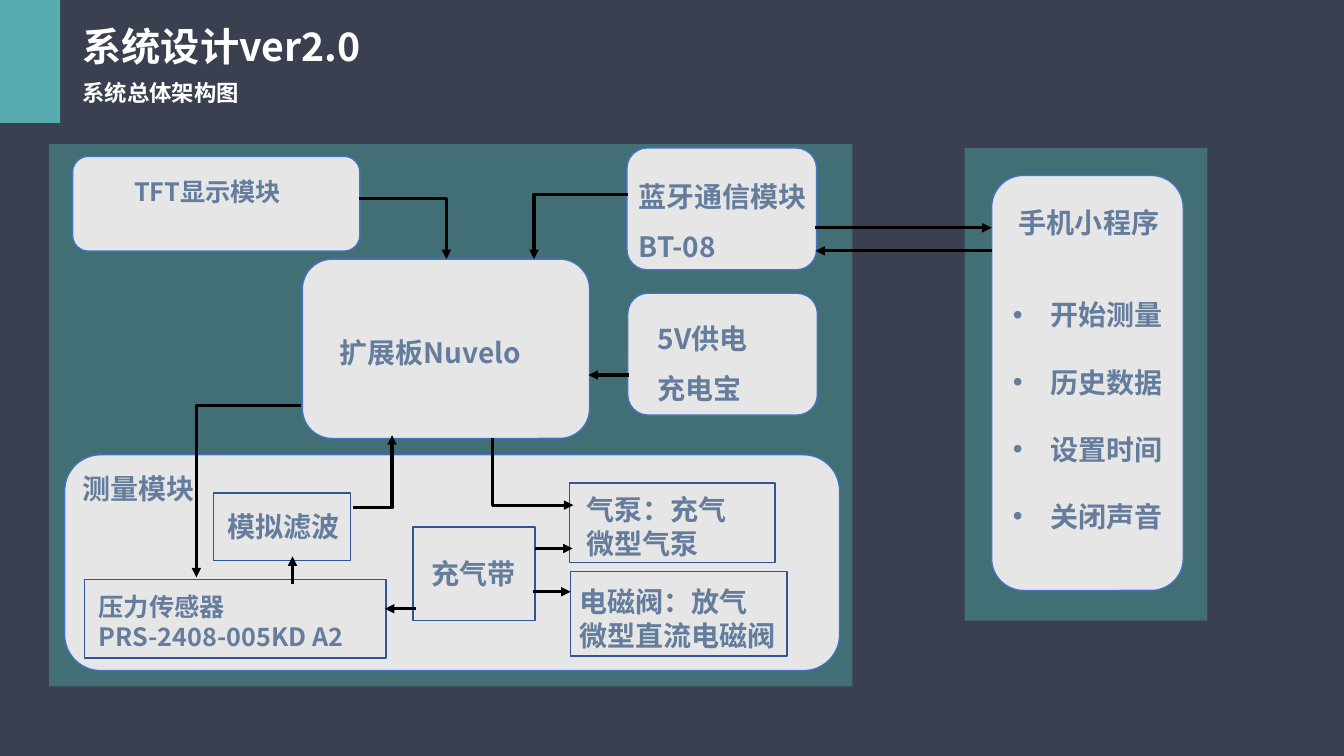
from dataclasses import dataclass

from lxml.etree import SubElement
from pptx import Presentation
from pptx.dml.color import RGBColor
from pptx.enum.shapes import MSO_CONNECTOR, MSO_SHAPE
from pptx.enum.text import MSO_ANCHOR, PP_ALIGN
from pptx.oxml.ns import qn
from pptx.util import Cm, Pt

FONT = "Noto Sans CJK SC"
ROUND_INSET = 0.0488
COLORS = {
    "background": "3A4050",
    "accent": "56ACAF",
    "panel": "4A9D9A",
    "box": "E7E6E6",
    "round_line": "4472C4",
    "rect_line": "2F5597",
    "label": "657D9D",
    "title": "FFFFFF",
    "arrow": "000000",
}


@dataclass
class Panel:
    x: float
    y: float
    w: float
    h: float
    color: str
    opacity: int = 100


@dataclass
class Module:
    text: str
    x: float
    y: float
    w: float
    h: float
    dx: float
    dy: float
    rounded: bool = False
    size: int = 20
    spacing: float = 1.0


@dataclass
class Arrow:
    x1: float
    y1: float
    x2: float
    y2: float
    end: str = "tailEnd"


PANELS = [
    Panel(0, 0, 1.52, 3.1, "accent"),
    Panel(24.31, 3.73, 6.12, 11.91, "panel", 50),
    Panel(1.24, 3.63, 20.24, 13.67, "panel", 50),
]
MODULES = [
    Module("手机小程序", 24.99, 4.42, 4.83, 10.46, 0.69, 0.76, True),
    Module("测量模块", 1.63, 11.46, 19.53, 5.44, 0.46, 0.41, True),
    Module("TFT显示模块", 1.83, 3.94, 7.24, 2.39, 1.55, 0.5, True, 18),
    Module("蓝牙通信模块\nBT-08", 15.8, 3.73, 4.78, 3.07, 0.3, 0.36, True, spacing=1.5),
    Module("扩展板Nuvelo", 7.62, 6.53, 7.24, 4.52, 0.94, 1.5, True, spacing=1.5),
    Module("5V供电\n充电宝", 15.82, 7.39, 4.78, 3.07, 0.76, 0.28, True, spacing=1.5),
    Module("模拟滤波", 5.38, 12.42, 3.45, 1.7, 0.36, 0.41),
    Module("压力传感器\nPRS-2408-005KD A2", 2.13, 14.6, 7.6, 1.98, 0.36, 0.3, size=18),
    Module("充气带", 10.41, 13.28, 3.07, 2.36, 0.46, 0.74),
    Module("气泵：充气\n微型气泵", 14.35, 12.17, 5.18, 2.01, 0.43, 0.25),
    Module("电磁阀：放气\n微型直流电磁阀", 14.38, 14.4, 5.46, 2.13, 0.23, 0.33),
]
ARROWS = [
    Arrow(9.04, 5, 11.25, 6.53),
    Arrow(15.82, 4.9, 13.46, 6.53),
    Arrow(14.45, 12.73, 12.42, 11.05, "headEnd"),
    Arrow(13.49, 13.82, 14.43, 13.82),
    Arrow(13.44, 14.91, 14.38, 14.91),
    Arrow(10.49, 15.34, 9.7, 15.34),
    Arrow(7.37, 14.71, 7.37, 14.02),
    Arrow(8.89, 12.8, 9.88, 10.97),
    Arrow(7.59, 10.21, 4.95, 14.55),
    Arrow(15.85, 9.45, 14.83, 9.45),
    Arrow(20.55, 5.74, 24.99, 5.74),
    Arrow(24.99, 6.32, 20.55, 6.32),
]


def rgb(name: str) -> RGBColor:
    """Look up a named colour."""
    return RGBColor.from_string(COLORS[name])


def format_text(tf, size: int, color: str, spacing: float = 1.0) -> None:
    """Apply the slide's bold left-aligned style to every run."""
    tf.word_wrap = True
    tf.vertical_anchor = MSO_ANCHOR.TOP
    for p in tf.paragraphs:
        p.alignment = PP_ALIGN.LEFT
        p.line_spacing = spacing
        p.space_before = Pt(0)
        for r in p.runs:
            r.font.name = FONT
            r.font.size = Pt(size)
            r.font.bold = True
            r.font.color.rgb = rgb(color)
            SubElement(r.font._element, qn("a:ea"), typeface=FONT)


def place(sp, x: float, y: float, w: float, h: float) -> None:
    """Move and size a shape in centimetres."""
    sp.left, sp.top, sp.width, sp.height = Cm(x), Cm(y), Cm(w), Cm(h)


def draw_panel(s, panel: Panel) -> None:
    """Draw a borderless colour block."""
    sp = s.shapes.add_shape(MSO_SHAPE.RECTANGLE, Cm(panel.x), Cm(panel.y), Cm(panel.w), Cm(panel.h))
    sp.shadow.inherit = False
    sp.fill.solid()
    sp.fill.fore_color.rgb = rgb(panel.color)
    sp.line.fill.background()
    if panel.opacity < 100:
        clr = sp.element.spPr.find(".//" + qn("a:srgbClr"))
        SubElement(clr, qn("a:alpha"), val=str(panel.opacity * 1000))


def draw_module(s, m: Module) -> None:
    """Draw a module box with its label inside."""
    kind = MSO_SHAPE.ROUNDED_RECTANGLE if m.rounded else MSO_SHAPE.RECTANGLE
    sp = s.shapes.add_shape(kind, Cm(m.x), Cm(m.y), Cm(m.w), Cm(m.h))
    sp.shadow.inherit = False
    sp.fill.solid()
    sp.fill.fore_color.rgb = rgb("box")
    sp.line.color.rgb = rgb("round_line" if m.rounded else "rect_line")
    sp.line.width = Pt(1)
    inset = ROUND_INSET * min(m.w, m.h) if m.rounded else 0
    tf = sp.text_frame
    tf.text = m.text
    tf.margin_left, tf.margin_top = Cm(m.dx - inset), Cm(m.dy - inset)
    tf.margin_right = tf.margin_bottom = 0
    format_text(tf, m.size, "label", m.spacing)


def draw_arrow(s, a: Arrow) -> None:
    """Draw a straight arrow, or one bent from horizontal to vertical."""
    bent = a.x1 != a.x2 and a.y1 != a.y2
    kind = MSO_CONNECTOR.ELBOW if bent else MSO_CONNECTOR.STRAIGHT
    cx = s.shapes.add_connector(kind, Cm(a.x1), Cm(a.y1), Cm(a.x2), Cm(a.y2))
    cx.line.color.rgb = rgb("arrow")
    cx.line.width = Pt(2.25)
    spPr = cx.element.spPr
    if bent:
        spPr.find(qn("a:prstGeom")).set("prst", "bentConnector2")
    SubElement(spPr.find(qn("a:ln")), qn(f"a:{a.end}"), type="triangle")
    SubElement(spPr, qn("a:effectLst"))


def draw_headings(s) -> None:
    """Fill the title and the subtitle below it."""
    title = s.shapes.title
    place(title, 1.83, 0.43, 11.66, 1.45)
    title.text_frame.text = "系统设计ver2.0"
    format_text(title.text_frame, 28, "title")
    subtitle = s.shapes.add_textbox(Cm(1.83), Cm(1.88), Cm(9.8), Cm(0.94))
    subtitle.text_frame.text = "系统总体架构图"
    format_text(subtitle.text_frame, 16, "title")


def draw_features(s) -> None:
    """Put the app's feature list on top of its box."""
    sp = s.placeholders[1]
    place(sp, 25.27, 6.53, 4.9, 6.83)
    sp.text_frame.text = "开始测量\n历史数据\n设置时间\n关闭声音"
    for p in sp.text_frame.paragraphs:
        pPr = p._p.get_or_add_pPr()
        pPr.set("marL", str(Cm(0.95)))
        pPr.set("indent", str(-Cm(0.95)))
        SubElement(pPr, qn("a:buFont"), typeface="Arial")
        SubElement(pPr, qn("a:buChar"), char="•")
    format_text(sp.text_frame, 20, "label", 2.0)
    s.shapes.element.append(sp.element)


def main() -> None:
    """Build and save the architecture slide."""
    prs = Presentation()
    prs.slide_width, prs.slide_height = Cm(33.87), Cm(19.05)
    s = prs.slides.add_slide(prs.slide_layouts[1])
    s.background.fill.solid()
    s.background.fill.fore_color.rgb = rgb("background")
    for panel in PANELS:
        draw_panel(s, panel)
    for module in MODULES:
        draw_module(s, module)
    for arrow in ARROWS:
        draw_arrow(s, arrow)
    draw_headings(s)
    draw_features(s)
    prs.save("out.pptx")


if __name__ == "__main__":
    main()
